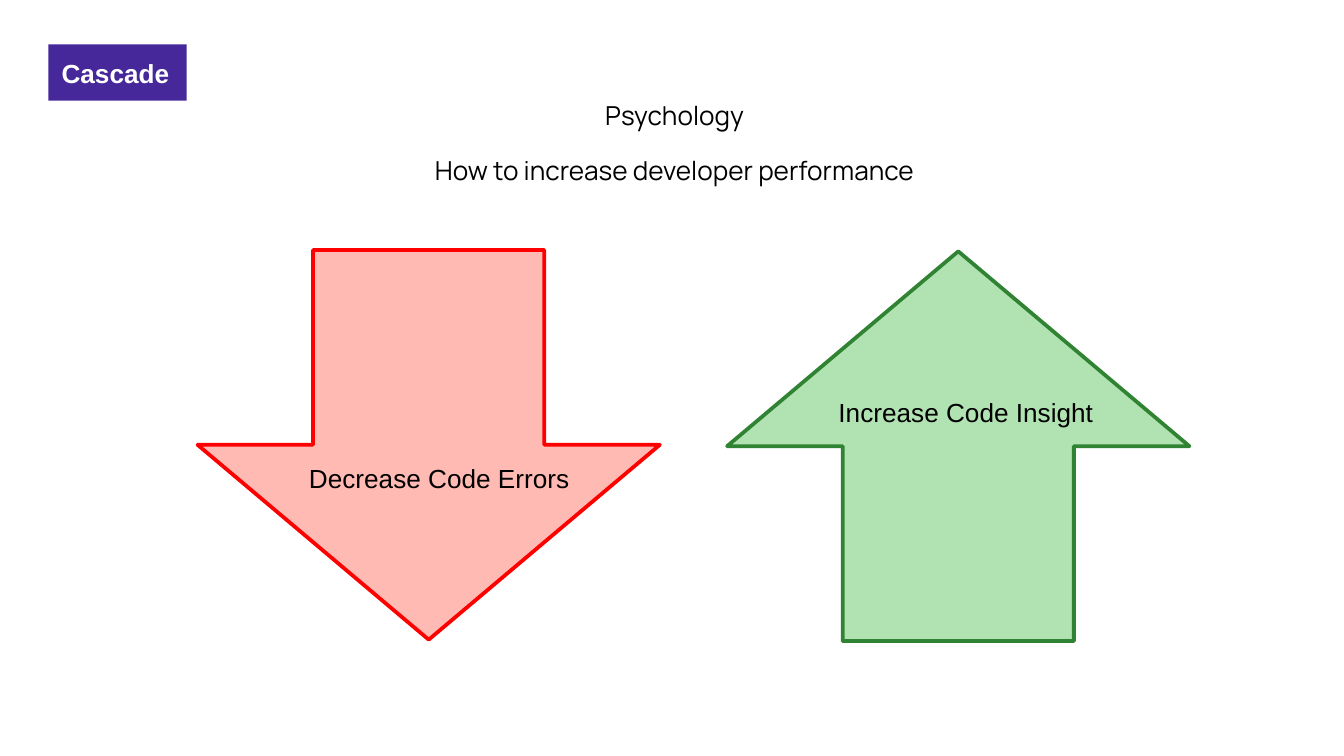
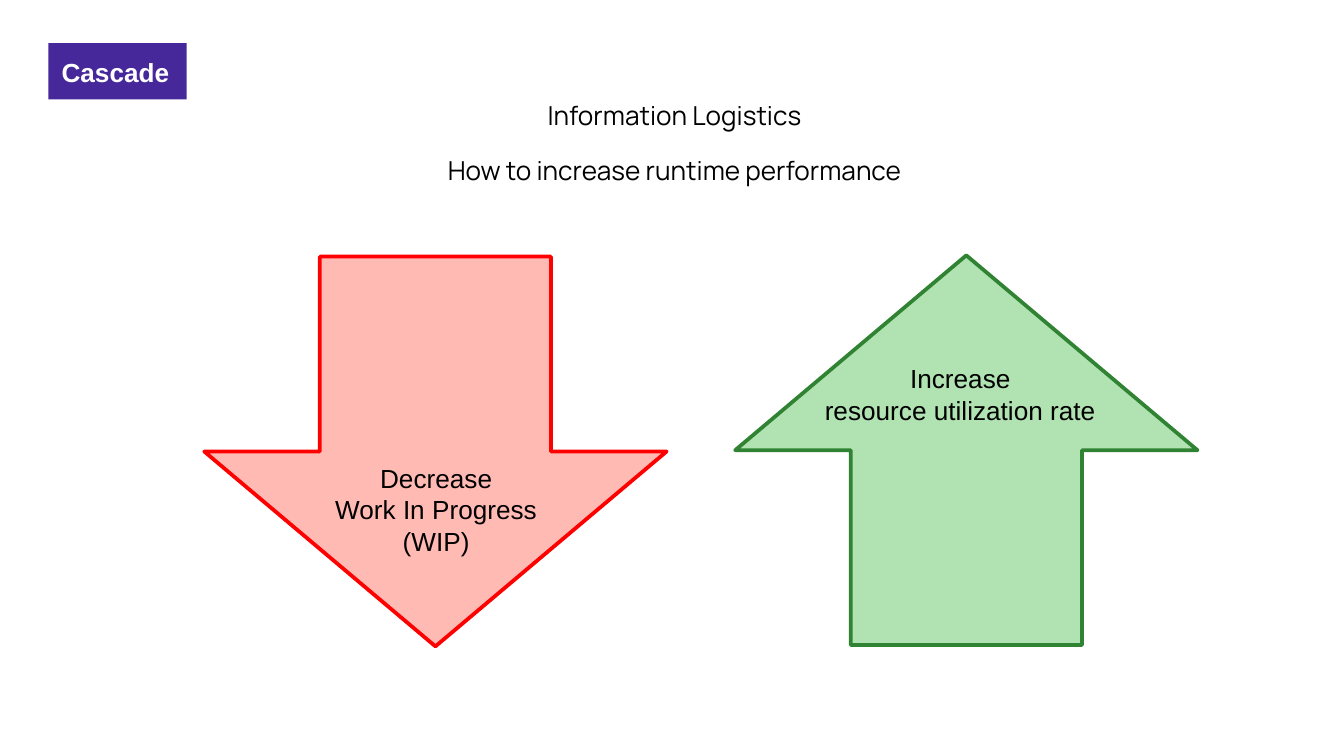
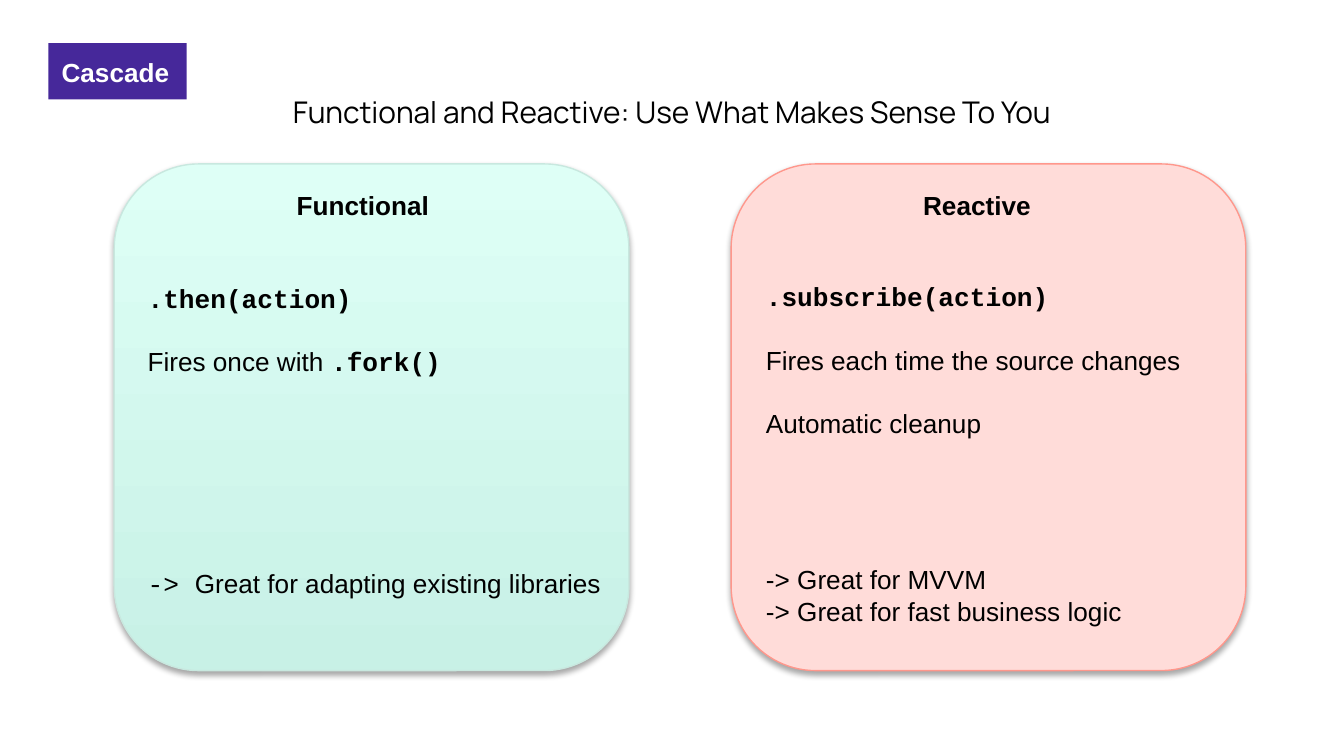
from dataclasses import dataclass

from lxml import etree
from pptx import Presentation
from pptx.dml.color import RGBColor
from pptx.enum import shapes, text
from pptx.oxml import ns
from pptx.util import Inches, Pt


@dataclass(frozen=True)
class Theme:
    ink: str = "000000"
    paper: str = "FFFFFF"
    badge: str = "46289A"
    decrease: tuple = ("FFBAB3", "FF0000")
    increase: tuple = ("B0E2B2", "318334")
    functional: tuple = (("C8F1E6", "DEFFF6"), "C8E8DF")
    reactive: tuple = ("FFDCD9", "FF978C")
    title_font: str = "Manrope"
    body_font: str = "Arial"
    code_font: str = "Courier New"
    title_size: int = 16
    body_size: int = 14
    line_spacing: float = 1.0
    title_spacing: float = 0.9


THEME = Theme()
BODY = (THEME.body_font, False)
HEADING = (THEME.body_font, True)
CODE = (THEME.code_font, True)
CODE_PLAIN = (THEME.code_font, False)

ARROW_SIZE = (3.44, 2.9)
CARD_SIZE = (3.83, 3.77)
CARD_TOP = 1.22
LABEL_SIZE = (4.25, 3.57)
ARROW_TITLE_BOX = (0.56, 0.53, 8.92, 1.09)
COMPARISON_TITLE_BOX = (0.69, 0.3, 8.62, 1.09)

# Arrow: colours, rotation, position, label position, label lines
ARROW_SLIDES = [
    {
        "title": ["Psychology", "How to increase developer performance"],
        "badge_top": 0.33,
        "centred": False,
        "arrows": [
            (THEME.decrease, 0, (1.47, 1.86), (2.2, 3.39), ["Decrease Code Errors"]),
            (THEME.increase, 180, (5.41, 1.87), (6.14, 2.9), ["Increase Code Insight"]),
        ],
    },
    {
        "title": ["Information Logistics", "How to increase runtime performance"],
        "badge_top": 0.32,
        "centred": True,
        "arrows": [
            (THEME.decrease, 0, (1.52, 1.91), (1.12, 3.39),
             ["Decrease", "Work In Progress", "(WIP)"]),
            (THEME.increase, 180, (5.47, 1.9), (5.02, 2.65),
             ["Increase", "resource utilization rate"]),
        ],
    },
]

COMPARISON_TITLE = "Functional and Reactive: Use What Makes Sense To You"
# Body paragraphs: space before in points, then runs
CARDS = [
    {
        "heading": "Functional", "heading_box": (2.11, 1.36, 4.23, 0.68),
        "left": 0.85, "colours": THEME.functional, "body_box": (1, 2.05, 4.23, 3.02),
        "body": [
            (0, [(".then(action)", CODE)]),
            (17, [("Fires once with ", BODY), (".fork()", CODE)]),
            (102, [("-> ", CODE_PLAIN), ("Great for adapting existing libraries", BODY)]),
        ],
    },
    {
        "heading": "Reactive", "heading_box": (6.77, 1.36, 4.25, 0.68),
        "left": 5.44, "colours": THEME.reactive, "body_box": (5.6, 2.04, 4.25, 3.02),
        "body": [
            (0, [(".subscribe(action)", CODE)]),
            (17, [("Fires each time the source changes", BODY)]),
            (17, [("Automatic cleanup", BODY)]),
            (67, [("-> Great for MVVM", BODY)]),
            (0, [("-> Great for fast business logic", BODY)]),
        ],
    },
]


def rgb(colour):
    return RGBColor.from_string(colour)


def inches(*values):
    return [Inches(value) for value in values]


def write(frame, paragraphs, size=THEME.body_size, colour=THEME.ink,
          align=text.PP_ALIGN.LEFT, spacing=THEME.line_spacing):
    """Fill a text frame with (space before, [(text, (font, bold))]) paragraphs."""
    for index, (space, runs) in enumerate(paragraphs):
        paragraph = frame.add_paragraph() if index else frame.paragraphs[0]
        paragraph.alignment = align
        paragraph.line_spacing = spacing
        paragraph.space_before = Pt(space)
        for words, (font_name, bold) in runs:
            run = paragraph.add_run()
            run.text = words
            run.font.name = font_name
            run.font.bold = bold
            run.font.size = Pt(size)
            run.font.color.rgb = rgb(colour)


def set_insets(frame, inset):
    frame.margin_left = frame.margin_right = Inches(inset)
    frame.margin_top = frame.margin_bottom = Inches(inset)


def add_text(slide, box, paragraphs, **style):
    frame = slide.shapes.add_textbox(*inches(*box)).text_frame
    frame.word_wrap = True
    write(frame, paragraphs, **style)


def add_shape(slide, kind, box, fill, line=None, line_width=0):
    shape = slide.shapes.add_shape(kind, *inches(*box))
    shape.shadow.inherit = False
    if isinstance(fill, tuple):
        shape.fill.gradient()
        shape.fill.gradient_angle = 90
        for stop, colour in zip(shape.fill.gradient_stops, fill):
            stop.color.rgb = rgb(colour)
    else:
        shape.fill.solid()
        shape.fill.fore_color.rgb = rgb(fill)
    if line:
        shape.line.color.rgb = rgb(line)
        shape.line.width = Pt(line_width)
    else:
        shape.line.fill.background()
    return shape


def add_soft_shadow(shape):
    effects = shape.element.spPr.find(ns.qn("a:effectLst"))
    shadow = etree.SubElement(
        effects, ns.qn("a:outerShdw"), blurRad=str(Pt(3.1)), dist=str(Pt(1.8)),
        dir=str(90 * 60000), rotWithShape="0")
    colour = etree.SubElement(shadow, ns.qn("a:srgbClr"), val=THEME.ink)
    etree.SubElement(colour, ns.qn("a:alpha"), val="35000")


def add_badge(slide, top):
    badge = add_shape(slide, shapes.MSO_SHAPE.RECTANGLE, (0.36, top, 1.03, 0.42), THEME.badge)
    frame = badge.text_frame
    set_insets(frame, 0.1)
    frame.word_wrap = False
    frame.vertical_anchor = text.MSO_ANCHOR.TOP
    write(frame, [(0, [("Cascade", HEADING)])], colour=THEME.paper)


def add_titled_slide(presentation, lines, box, size, badge_top):
    slide = presentation.slides.add_slide(presentation.slide_layouts.get_by_name("Title Only"))
    title = slide.shapes.title
    title.left, title.top, title.width, title.height = inches(*box)
    frame = title.text_frame
    frame.auto_size = text.MSO_AUTO_SIZE.NONE
    frame.word_wrap = True
    frame.vertical_anchor = text.MSO_ANCHOR.MIDDLE
    set_insets(frame, 0.1)
    paragraphs = [(14.5 if index else 0, [(line, (THEME.title_font, False))])
                  for index, line in enumerate(lines)]
    write(frame, paragraphs, size=size, align=text.PP_ALIGN.CENTER,
          spacing=THEME.title_spacing)
    add_badge(slide, badge_top)
    return slide


def add_arrow_slide(presentation, content):
    slide = add_titled_slide(presentation, content["title"], ARROW_TITLE_BOX,
                             THEME.body_size, content["badge_top"])
    align = text.PP_ALIGN.CENTER if content["centred"] else text.PP_ALIGN.LEFT
    for (fill, line), rotation, position, label_position, lines in content["arrows"]:
        arrow = add_shape(slide, shapes.MSO_SHAPE.DOWN_ARROW, position + ARROW_SIZE,
                          fill, line, 2)
        arrow.rotation = rotation
        add_text(slide, label_position + LABEL_SIZE,
                 [(0, [(words, BODY)]) for words in lines], align=align)


def add_comparison_slide(presentation):
    slide = add_titled_slide(presentation, [COMPARISON_TITLE], COMPARISON_TITLE_BOX,
                             THEME.title_size, 0.32)
    for card in CARDS:
        fill, line = card["colours"]
        panel = add_shape(slide, shapes.MSO_SHAPE.ROUNDED_RECTANGLE,
                          (card["left"], CARD_TOP) + CARD_SIZE, fill, line, 0.75)
        add_soft_shadow(panel)
        add_text(slide, card["heading_box"], [(0, [(card["heading"], HEADING)])])
        add_text(slide, card["body_box"], card["body"])


def main():
    presentation = Presentation()
    presentation.slide_width = Inches(10)
    presentation.slide_height = presentation.slide_width * 9 // 16
    for content in ARROW_SLIDES:
        add_arrow_slide(presentation, content)
    add_comparison_slide(presentation)
    presentation.save("out.pptx")


if __name__ == "__main__":
    main()
